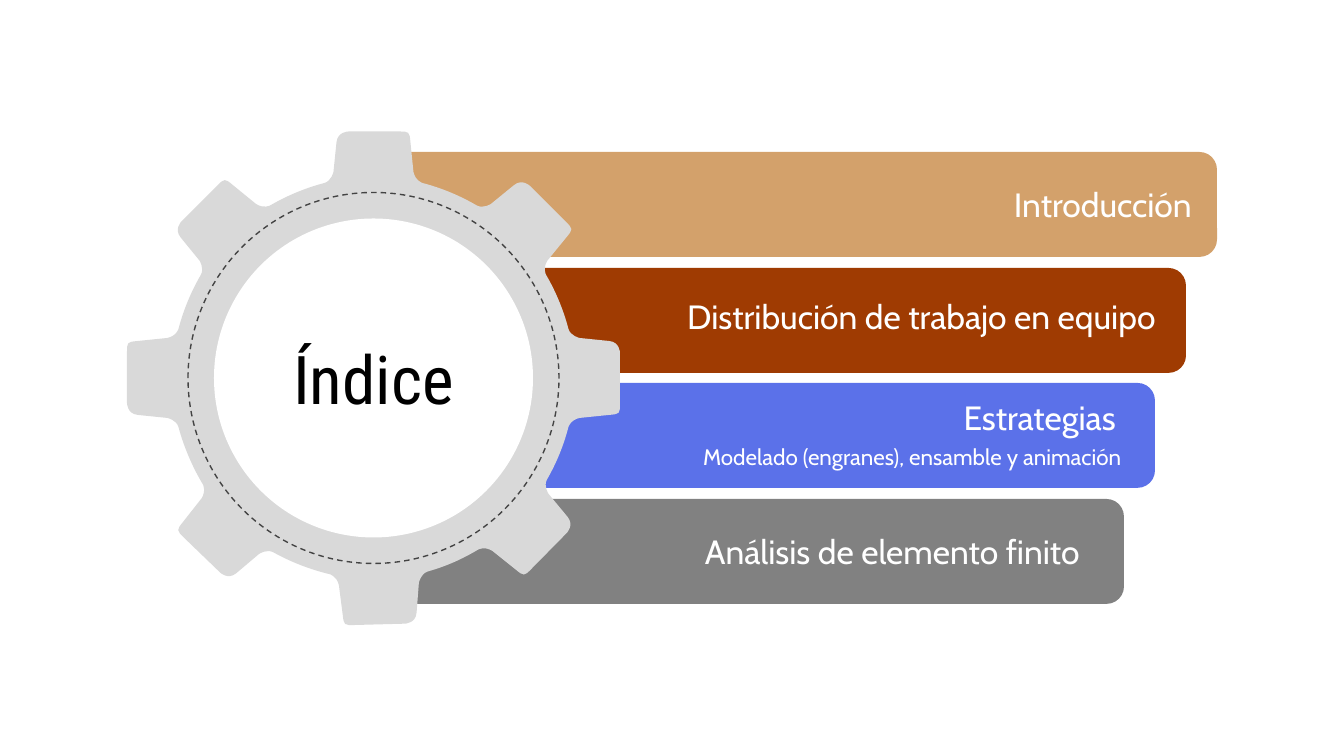
from math import cos, radians, sin

from lxml import etree
from pptx import Presentation
from pptx import util as u
from pptx.dml.color import RGBColor
from pptx.enum import dml, shapes, text
from pptx.oxml.ns import qn

PX = 914400 / 134.4
FINE = 100  # outline units per px
INK = {
    "tan": "D3A16B", "rust": "9F3B02", "blue": "5B71E9", "gray": "818181",
    "gear": "D9D9D9", "dash": "434343", "white": "FFFFFF", "black": "000000",
}
# Angles of the teeth, clockwise from the top; the lower ones sit slightly off.
TEETH = (0, 45, 90, 134.5, 178.5, 224, 270, 315)
BARS = (
    ("tan", [("Introducción", 18, 12, 25, 480, 54)]),
    ("rust", [("Distribución de trabajo en equipo", 18, 17, 21, 563, 54)]),
    ("blue", [("Estrategias", 18, 26, 7, 398, 54),
              ("Modelado (engranes), ensamble y animación", 12, 20, 40, 495, 67)]),
    ("gray", [("Análisis de elemento finito", 18, 31, 25, 469, 54)]),
)


def px(*vals):
    return [u.Emu(round(v * PX)) for v in vals]


def rgb(name):
    return RGBColor.from_string(INK[name])


def paint(shape, fill=None):
    shape.shadow.inherit = False
    shape.line.fill.background()
    if fill:
        shape.fill.solid()
        shape.fill.fore_color.rgb = rgb(fill)
    else:
        shape.fill.background()
    return shape


def write(shape, words, size, font="Cabin", color="white", align="RIGHT"):
    frame = shape.text_frame
    frame.word_wrap = True
    frame.vertical_anchor = text.MSO_ANCHOR.MIDDLE
    frame.margin_left = frame.margin_right = u.Inches(0.1)
    frame.margin_top = frame.margin_bottom = u.Inches(0.1)
    para = frame.paragraphs[0]
    para.alignment = text.PP_ALIGN[align]
    run = para.add_run()
    run.text = words
    run.font.size = u.Pt(size)
    run.font.name = font
    run.font.color.rgb = rgb(color)


def add_bar(slide, box, fill, labels):
    """Each label is (words, size, gap to the right edge, top, width, height)."""
    x, y, w, h = box
    bar = slide.shapes.add_shape(shapes.MSO_SHAPE.ROUNDED_RECTANGLE, *px(*box))
    bar.adjustments[0] = 0.167
    paint(bar, fill)
    for words, size, gap, top, wide, high in labels:
        left = x + w - gap - wide
        label = slide.shapes.add_textbox(*px(left, y + top, wide, high))
        write(label, words, size)


def tooth(rim):
    """Steps of the top tooth after its left foot: one point is a line,
    three points are a curve."""
    foot = [(49, -195), (42, -197), (40, -206)]
    tip = [(37, 11 - rim), (36, -rim), (25, -rim)]

    def left(points):
        return [(-x, y) for x, y in points]

    return [left(foot[1:] + foot[2:]), left(tip[:1]), left(tip[1:] + tip[2:]),
            tip[2:], [tip[1], tip[1], tip[0]], foot[2:], foot[1::-1] + foot[:1],
            [(68, -190)]]


def turn(point, angle):
    x, y = point
    c, s = cos(radians(angle)), sin(radians(angle))
    return x * c - y * s, x * s + y * c


def outline(rim):
    """Steps around the whole gear; each tooth ends in an arc to the next."""
    steps = []
    for angle, after in zip(TEETH, TEETH[1:] + (360,)):
        part = [[turn(p, angle) for p in step] for step in tooth(rim)]
        part[-1] += [turn((-68, -190), after), turn((-49, -195), after)]
        steps += part
    return steps


def curve(shape, steps):
    """Join the three lines of each curved step into one cubic curve."""
    lines = iter(list(shape._element.iter(qn("a:lnTo"))))
    for step in steps:
        first, *rest = [next(lines) for _ in step]
        if rest:
            cubic = etree.Element(qn("a:cubicBezTo"))
            first.addprevious(cubic)
            for line in (first, *rest):
                cubic.append(line[0])
                line.getparent().remove(line)


def add_disc(slide, center, size, fill=None):
    x, y = center
    box = px(x - size / 2, y - size / 2, size, size)
    return paint(slide.shapes.add_shape(shapes.MSO_SHAPE.OVAL, *box), fill)


def add_gear(slide, box, title):
    x, y, w, h = box
    center = cx, cy = x + w / 2, y + h / 2
    steps = outline(w / 2)
    points = [((cx + a) * FINE, (cy + b) * FINE) for step in steps for a, b in step]
    pen = slide.shapes.build_freeform(*points[-1], scale=PX / FINE)
    pen.add_line_segments(points, close=True)
    gear = paint(pen.convert_to_shape(), "gear")
    curve(gear, steps)

    ring = add_disc(slide, center, 371)
    ring.line.color.rgb = rgb("dash")
    ring.line.width = u.Pt(0.75)
    ring.line.dash_style = dml.MSO_LINE.DASH

    hub = add_disc(slide, center, 319, "white")
    write(hub, title, 36, font="Roboto Condensed", color="black", align="CENTER")


def main():
    deck = Presentation()
    deck.slide_width, deck.slide_height = px(1344, 756)
    slide = deck.slides.add_slide(deck.slide_layouts[6])
    for i, (fill, labels) in enumerate(BARS):
        box = (382, 152 + (347 * i + 1) // 3, 835 - 31 * i, 105)
        add_bar(slide, box, fill, labels)
    add_gear(slide, (127, 131, 493, 494), "Índice")
    deck.save("out.pptx")


if __name__ == "__main__":
    main()
